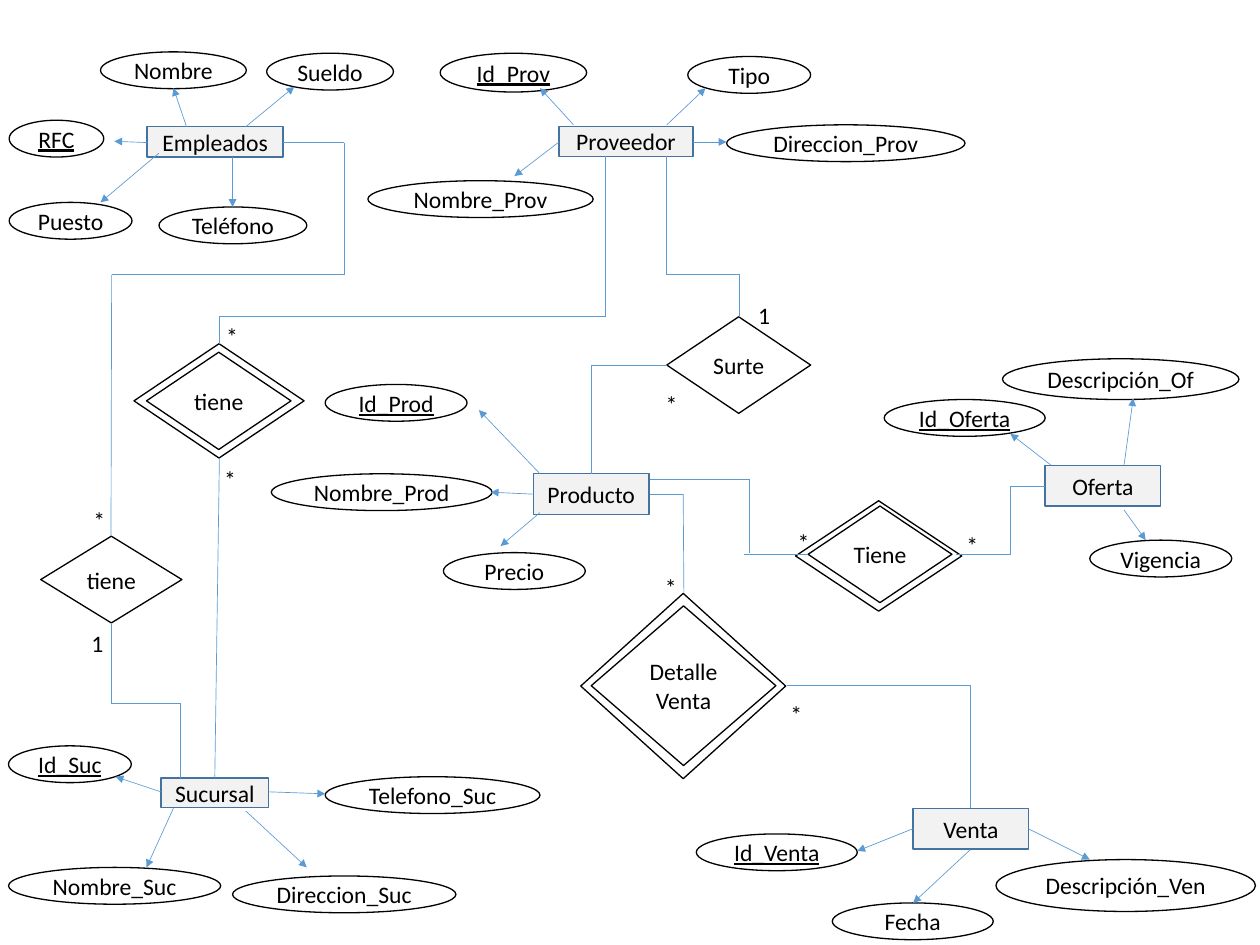
"""Build the entity-relationship diagram slide of a store database."""
from dataclasses import dataclass
from itertools import pairwise

from lxml import etree
from pptx import Presentation
from pptx.dml.color import RGBColor
from pptx.enum.shapes import MSO_CONNECTOR, MSO_SHAPE
from pptx.enum.text import MSO_ANCHOR, PP_ALIGN
from pptx.oxml.ns import qn
from pptx.util import Pt

RECTANGLE, OVAL, DIAMOND = MSO_SHAPE.RECTANGLE, MSO_SHAPE.OVAL, MSO_SHAPE.DIAMOND
STRAIGHT = MSO_CONNECTOR.STRAIGHT
MIDDLE, TOP = MSO_ANCHOR.MIDDLE, MSO_ANCHOR.TOP
CENTER, LEFT = PP_ALIGN.CENTER, PP_ALIGN.LEFT


@dataclass(frozen=True)
class Theme:
    """Colours, type and line widths of the diagram."""
    ink: RGBColor = RGBColor(0x00, 0x00, 0x00)
    paper: RGBColor = RGBColor(0xFF, 0xFF, 0xFF)
    entity_fill: RGBColor = RGBColor(0xF2, 0xF2, 0xF2)
    entity_line: RGBColor = RGBColor(0x43, 0x73, 0x9E)
    link: RGBColor = RGBColor(0x5B, 0x9B, 0xD5)
    font: str = "Calibri"
    size: float = 18
    outline: float = 1
    link_width: float = 0.5


THEME = Theme()
SLIDE_SIZE = (959, 719)
LABEL_SIZE = (24, 29)
MIN_OVAL_HEIGHT = 28

ENTITIES = [
    ("Empleados", (112, 96.5, 103.5, 23)),
    ("Proveedor", (425.5, 96, 102, 23)),
    ("Producto", (406, 360.5, 88, 31)),
    ("Oferta", (795.5, 354, 88, 31)),
    ("Sucursal", (122.5, 592, 82, 22.5)),
    ("Venta", (695, 615, 88, 31)),
]

KEYS = {"RFC", "Id_Prov", "Id_Prod", "Id_Oferta", "Id_Suc", "Id_Venta"}

ATTRIBUTES = [
    ("Nombre", (76.5, 39.5, 111, 23), (142, 96.5), (132, 67)),
    ("Sueldo", (203, 40.5, 96.5, 21.5), (187, 96.5), (224, 66)),
    ("RFC", (7, 91.5, 72, 25), (112, 108.5), (87, 107.5)),
    ("Puesto", (7, 154, 93.5, 14.5), (121, 116.5), (76.5, 154)),
    ("Teléfono", (121, 157.5, 112.5, 18.5), (177, 119.5), (177, 157.5)),
    ("Id_Prov", (335, 40.5, 111.5, 29.5), (436.5, 95), (411, 67)),
    ("Tipo", (523.5, 43, 93.5, 23), (507.5, 95), (537, 67)),
    ("Direccion_Prov", (553, 95, 181.5, 24.5), (527.5, 108), (553, 108)),
    ("Nombre_Prov", (280, 137.5, 171.5, 26), (425.5, 108), (391.5, 134)),
    ("Id_Prod", (247.5, 292.5, 108, 26), (411, 360.5), (364.5, 312)),
    ("Nombre_Prod", (206.5, 360.5, 168, 27.5), (406, 376), (373.5, 374.5)),
    ("Precio", (337.5, 420.5, 108, 26), (411, 390), (381, 415.5)),
    ("Descripción_Of", (763, 273, 180, 31), (855.5, 354), (862.5, 303)),
    ("Id_Oferta", (673, 304, 122.5, 26), (800, 354), (769, 330)),
    ("Vigencia", (829.5, 411, 108, 26), (855.5, 388), (872, 411)),
    ("Id_Suc", (6.5, 567.5, 93.5, 23), (122.5, 602.5), (88, 591)),
    ("Telefono_Suc", (247.5, 591, 163.5, 26.5), (204.5, 602.5), (247.5, 604)),
    ("Nombre_Suc", (6.5, 660, 161.5, 26.5), (132, 615), (111.5, 660)),
    ("Direccion_Suc", (177, 666.5, 170, 20), (187, 617), (233.5, 660)),
    ("Id_Venta", (530, 634.5, 122.5, 26), (695, 630.5), (652.5, 647.5)),
    ("Fecha", (633.5, 687, 122.5, 26), (738.5, 646.5), (695, 687)),
    ("Descripción_Ven", (758, 654, 197.5, 39.5), (782.5, 630.5), (829.5, 654)),
]

RELATIONSHIPS = [
    ("Surte", [(507.5, 241, 109.5, 73.5)]),
    ("tiene", [(31, 408, 107.5, 66)]),
    ("tiene", [(102, 261.5, 129.5, 87), (111.5, 268, 110, 74)]),
    ("Tiene", [(605.5, 381, 126.5, 84), (615, 385, 109.5, 73.5)]),
    ("Detalle Venta", [(442, 451.5, 156, 141), (450, 461, 140.5, 121.5)]),
]

ROUTES = [
    [(215.5, 108.5), (262, 108.5), (262, 209), (85, 209), (84.5, 408)],
    [(84.5, 474.5), (84.5, 535), (137, 535), (137, 592)],
    [(461, 119), (461, 241), (167, 241), (167, 261.5)],
    [(167, 348.5), (163.5, 592)],
    [(507, 119), (507, 208.5), (562.5, 208.5), (562.5, 241)],
    [(507.5, 278), (450, 278), (450, 360.5)],
    [(494.5, 364.5), (570, 364.5), (570, 421)],
    [(566, 422), (615, 422)],
    [(795.5, 370), (769, 370), (769, 422), (728, 422)],
    [(494.5, 376), (520, 376), (520.5, 451.5)],
    [(738.5, 615), (738.5, 521.5), (599, 521.5)],
]

CARDINALITIES = [
    ("*", (165, 241)), ("*", (163.5, 350.5)), ("*", (64, 381)),
    ("1", (62.5, 475)), ("1", (570, 225.5)), ("*", (499.5, 293)),
    ("*", (600, 398)), ("*", (728.5, 400.5)), ("*", (499, 432.5)),
    ("*", (594.5, 529)),
]


def write_text(box, text, *, align=CENTER, anchor=MIDDLE, inset=0, underline=False):
    """Put one formatted paragraph into a box."""
    frame = box.text_frame
    frame.word_wrap = True
    frame.vertical_anchor = anchor
    frame.margin_top = frame.margin_bottom = Pt(inset)
    para = frame.paragraphs[0]
    para.alignment = align
    span = para.add_run()
    span.text = text
    span.font.name = THEME.font
    span.font.size = Pt(THEME.size)
    span.font.color.rgb = THEME.ink
    if underline:
        span.font.underline = True


def add_box(slide, kind, place, fill=THEME.paper, line=THEME.ink):
    """Add a filled and outlined shape."""
    box = slide.shapes.add_shape(kind, *map(Pt, place))
    box.shadow.inherit = False
    box.fill.solid()
    box.fill.fore_color.rgb = fill
    box.line.color.rgb = line
    box.line.width = Pt(THEME.outline)
    return box


def add_link(slide, start, end, arrow=False):
    """Draw a straight link, with an arrowhead at its end if asked."""
    link = slide.shapes.add_connector(STRAIGHT, *map(Pt, (*start, *end)))
    link.line.color.rgb = THEME.link
    link.line.width = Pt(THEME.link_width)
    properties = link._element.spPr
    if arrow:
        etree.SubElement(properties.find(qn("a:ln")), qn("a:tailEnd"), type="triangle")
    etree.SubElement(properties, qn("a:effectLst"))


def add_entity(slide, name, place):
    """Add the rectangle of an entity."""
    box = add_box(slide, RECTANGLE, place, THEME.entity_fill, THEME.entity_line)
    write_text(box, name)


def add_attribute(slide, name, place, start, end):
    """Add an attribute's ellipse, tall enough for its name, and its arrow."""
    left, top, width, height = place
    oval = add_box(slide, OVAL, (left, top, width, max(height, MIN_OVAL_HEIGHT)))
    write_text(oval, name, underline=name in KEYS)
    add_link(slide, start, end, arrow=True)


def add_relationship(slide, name, places):
    """Add a single or double diamond, with the name in the innermost one."""
    diamonds = [add_box(slide, DIAMOND, place) for place in places]
    write_text(diamonds[-1], name)


def add_route(slide, points):
    """Join successive points with links."""
    for start, end in pairwise(points):
        add_link(slide, start, end)


def add_cardinality(slide, mark, corner):
    """Add a cardinality mark beside a link."""
    box = slide.shapes.add_textbox(*map(Pt, (*corner, *LABEL_SIZE)))
    write_text(box, mark, align=LEFT, anchor=TOP, inset=3.6)


def main():
    """Build and save the deck."""
    deck = Presentation()
    deck.slide_width, deck.slide_height = map(Pt, SLIDE_SIZE)
    page = deck.slides.add_slide(deck.slide_layouts.get_by_name("Blank"))
    for add_element, rows in (
        (add_entity, ENTITIES),
        (add_attribute, ATTRIBUTES),
        (add_relationship, RELATIONSHIPS),
        (add_cardinality, CARDINALITIES),
    ):
        for row in rows:
            add_element(page, *row)
    for points in ROUTES:
        add_route(page, points)
    deck.save("out.pptx")


main()
